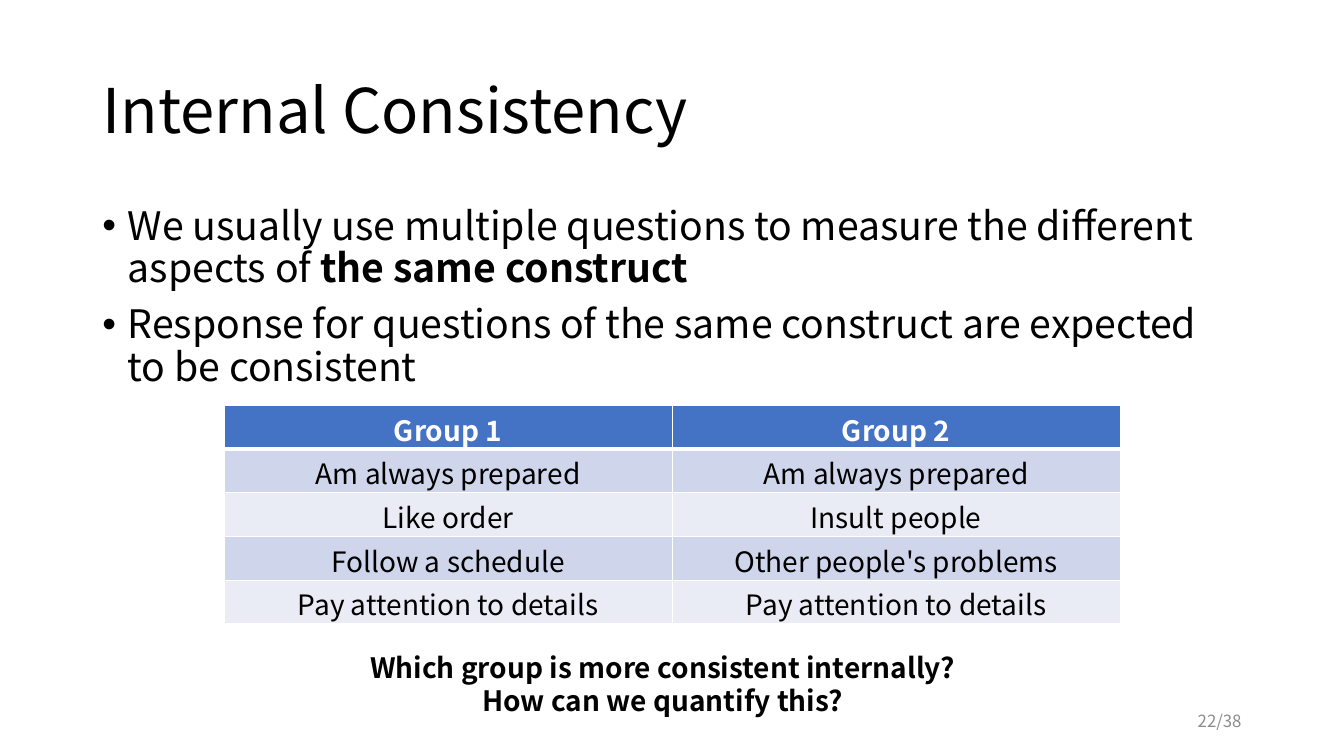
import pptx
import pptx.util
import pptx.dml.color
import pptx.enum.text
import pptx.oxml.ns
from lxml import etree

Cm = pptx.util.Cm
Pt = pptx.util.Pt
Align = pptx.enum.text.PP_ALIGN
Anchor = pptx.enum.text.MSO_ANCHOR

FONT = "Noto Sans CJK SC"
BLACK, WHITE, GREY = "000000", "FFFFFF", "8C8C8C"
HEADER_FILL = "4472C4"
BAND_FILLS = ["CFD5EA", "E9EBF5"]

TITLE = "Internal Consistency"
BULLETS = [
    [("We usually use multiple questions to measure the different aspects of ", False),
     ("the same construct", True)],
    [("Response for questions of the same construct are expected to be consistent", False)],
]
GROUPS = [
    ("Group 1", "Group 2"),
    ("Am always prepared", "Am always prepared"),
    ("Like order", "Insult people"),
    ("Follow a schedule", "Other people's problems"),
    ("Pay attention to details", "Pay attention to details"),
]
QUESTIONS = [
    [("Which group is more consistent internally?", True)],
    [("How can we quantify this?", True)],
]
PAGE_NUMBER = "22/38"

MARGIN, CONTENT_WIDTH = 2.33, 29.21
TABLE_LEFT, TABLE_TOP = 5.65, 10.22
COLUMN_WIDTH, ROW_HEIGHT = 11.29, 1.1


def color(value):
    return pptx.dml.color.RGBColor.from_string(value)


def add_runs(para, runs, size, shade=BLACK):
    for text, bold in runs:
        span = para.add_run()
        span.text = text
        span.font.name = FONT
        span.font.size = Pt(size)
        span.font.bold = bold
        span.font.color.rgb = color(shade)


def fill_frame(frame, lines, size, align=Align.LEFT, shade=BLACK):
    for index, runs in enumerate(lines):
        para = frame.paragraphs[0] if index == 0 else frame.add_paragraph()
        para.alignment = align
        add_runs(para, runs, size, shade)


def add_box(page, left, top, width, height, lines, size, **style):
    box = page.shapes.add_textbox(Cm(left), Cm(top), Cm(width), Cm(height))
    box.text_frame.word_wrap = True
    fill_frame(box.text_frame, lines, size, **style)
    return box


def add_bullet(para):
    props = para._p.get_or_add_pPr()
    props.set("marL", str(Cm(0.64)))
    props.set("indent", str(-Cm(0.64)))
    font = etree.SubElement(props, pptx.oxml.ns.qn("a:buFont"))
    font.set("typeface", "Arial")
    mark = etree.SubElement(props, pptx.oxml.ns.qn("a:buChar"))
    mark.set("char", "•")


def add_borders(cell, bottom):
    props = cell._tc.get_or_add_tcPr()
    for side, width in (("L", 1), ("R", 1), ("T", 1), ("B", bottom)):
        line = etree.SubElement(props, pptx.oxml.ns.qn("a:ln" + side))
        line.set("w", str(Pt(width)))
        fill = etree.SubElement(line, pptx.oxml.ns.qn("a:solidFill"))
        etree.SubElement(fill, pptx.oxml.ns.qn("a:srgbClr")).set("val", WHITE)


def add_group_table(page):
    rows, columns = len(GROUPS), len(GROUPS[0])
    table = page.shapes.add_table(
        rows, columns, Cm(TABLE_LEFT), Cm(TABLE_TOP),
        Cm(COLUMN_WIDTH * columns), Cm(ROW_HEIGHT * rows)).table
    for column in table.columns:
        column.width = Cm(COLUMN_WIDTH)
    for row_index, entries in enumerate(GROUPS):
        header = row_index == 0
        table.rows[row_index].height = Cm(ROW_HEIGHT)
        for column_index, text in enumerate(entries):
            cell = table.cell(row_index, column_index)
            add_borders(cell, 3 if header else 1)
            cell.fill.solid()
            cell.fill.fore_color.rgb = color(
                HEADER_FILL if header else BAND_FILLS[(row_index - 1) % 2])
            cell.margin_top, cell.margin_bottom = Cm(0.08), 0
            fill_frame(cell.text_frame, [[(text, header)]], 20,
                       Align.CENTER, WHITE if header else BLACK)
            if row_index == 1:
                top = cell._tc.tcPr.find(pptx.oxml.ns.qn("a:lnT"))
                top.set("w", str(Pt(3)))


def main():
    deck = pptx.Presentation()
    deck.slide_width, deck.slide_height = Cm(33.87), Cm(19.05)
    page = deck.slides.add_slide(deck.slide_layouts[5])

    title = page.shapes.title
    title.left, title.top = Cm(MARGIN), Cm(1.01)
    title.width, title.height = Cm(CONTENT_WIDTH), Cm(3.68)
    title.text_frame.auto_size = pptx.enum.text.MSO_AUTO_SIZE.NONE
    title.text_frame.vertical_anchor = Anchor.MIDDLE
    fill_frame(title.text_frame, [[(TITLE, False)]], 44)
    title.text_frame.paragraphs[0].line_spacing = 0.9

    body = add_box(page, MARGIN, 5.07, CONTENT_WIDTH, 5.28, BULLETS, 28)
    for index, para in enumerate(body.text_frame.paragraphs):
        add_bullet(para)
        para.line_spacing = 0.9
        para.space_before = Pt(10 if index else 0)

    add_box(page, 8.13, 16.26, 17.15, 1.96, QUESTIONS, 20, align=Align.CENTER)
    add_group_table(page)
    number = add_box(page, 23.92, 17.66, 7.62, 1.01, [[(PAGE_NUMBER, False)]], 12,
                     align=Align.RIGHT, shade=GREY)
    number.text_frame.vertical_anchor = Anchor.MIDDLE
    deck.save("out.pptx")


if __name__ == "__main__":
    main()
